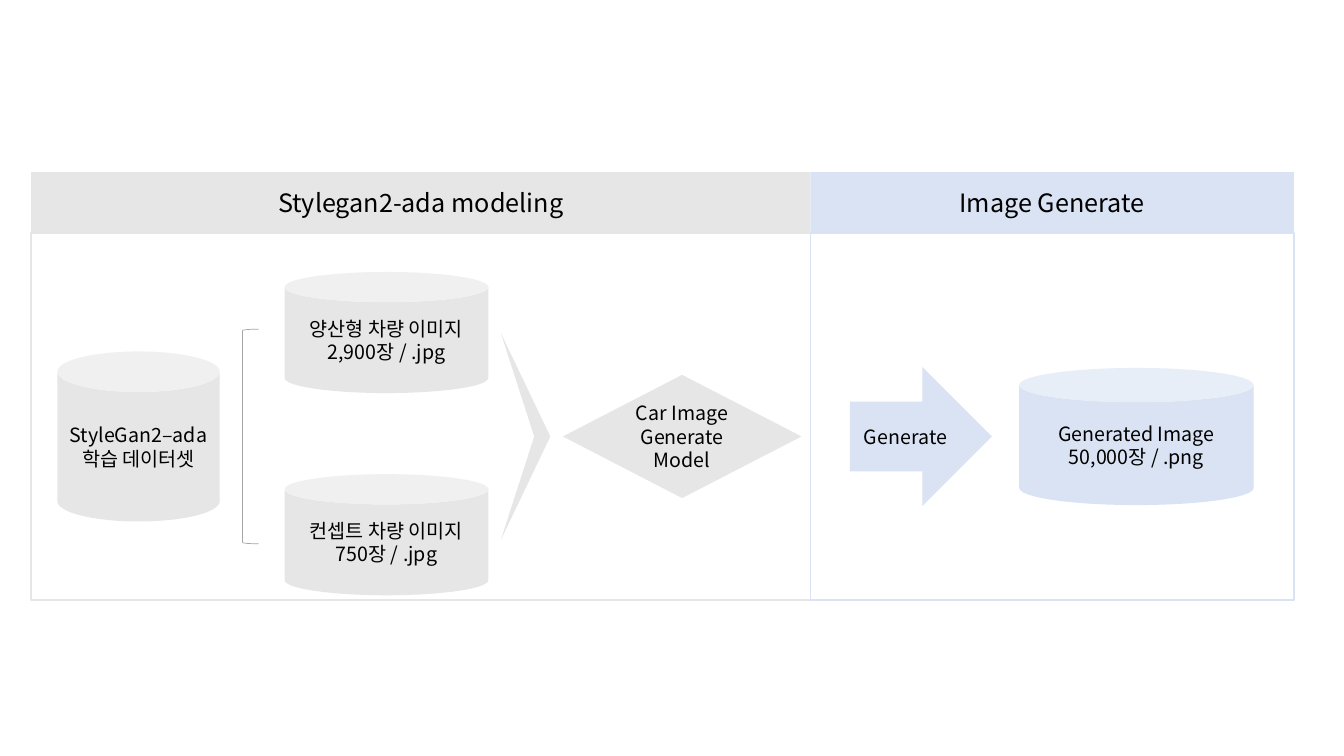
"""Build the StyleGAN2-ada modelling and image generation flow slide."""
from pptx import Presentation
from pptx.dml.color import RGBColor
from pptx.enum.shapes import MSO_SHAPE
from pptx.enum.text import MSO_ANCHOR, PP_ALIGN
from pptx.util import Pt

CAN, RECT = MSO_SHAPE.CAN, MSO_SHAPE.RECTANGLE
ARROW, DIAMOND = MSO_SHAPE.RIGHT_ARROW, MSO_SHAPE.FLOWCHART_DECISION
BRACKET = MSO_SHAPE.LEFT_BRACKET
CENTER, RIGHT, MIDDLE = PP_ALIGN.CENTER, PP_ALIGN.RIGHT, MSO_ANCHOR.MIDDLE
GRAY = RGBColor(0xE7, 0xE6, 0xE6)
BLUE = RGBColor(0xDA, 0xE3, 0xF3)
LINE = RGBColor(0xA6, 0xA6, 0xA6)
BLACK = RGBColor(0, 0, 0)
FONT = "Noto Sans CJK KR"

PANELS = [("Stylegan2-ada modeling", 556.5, GRAY), ("Image Generate", 345.5, BLUE)]
DATASETS = [["양산형 차량 이미지", "2,900장 / .jpg"], ["컨셉트 차량 이미지", "750장 / .jpg"]]
STEPS = [
    (CAN, 41, 116, 121.5, GRAY, ["StyleGan2–ada", "학습 데이터셋"], CENTER),
    (DIAMOND, 402, 170.5, 88, GRAY, ["Car Image", "Generate Model"], CENTER),
    (ARROW, 607, 101.5, 99.5, BLUE, ["Generate"], RIGHT),
    (CAN, 728, 167.5, 98, BLUE, ["Generated Image", "50,000장 / .png"], CENTER),
]
PANEL_LEFT, PANEL_TOP, HEAD_H, BODY_H = 22.3, 123, 43.5, 262
MID_Y = 311.8
DATA_X, DATA_Y, DATA_W, DATA_H, DATA_STEP = 203.3, 194.3, 145.5, 86.5, 144.4
BRACKET_X, BRACKET_W, BRACKET_H = 173.3, 11.5, 153.3
CHEVRON_X, CHEVRON_W, CHEVRON_NOTCH, CHEVRON_H = 357.8, 35.3, 23.8, 147.6


def paint(sp, fill=None, line=None, width=1):
    """Set fill and outline, with no shadow."""
    sp.shadow.inherit = False
    if fill is None:
        sp.fill.background()
    else:
        sp.fill.solid()
        sp.fill.fore_color.rgb = fill
    if line is None:
        sp.line.fill.background()
    else:
        sp.line.color.rgb = line
        sp.line.width = Pt(width)


def add_shape(kind, x, y, w, h, **style):
    """Add a painted preset shape, measured in points."""
    sp = slide.shapes.add_shape(kind, Pt(x), Pt(y), Pt(w), Pt(h))
    paint(sp, **style)
    return sp


def write(sp, lines, size=14, align=CENTER):
    """Write one paragraph per line."""
    tf = sp.text_frame
    tf.word_wrap = True
    tf.vertical_anchor = MIDDLE
    tf.text = "\n".join(lines)
    for p in tf.paragraphs:
        p.alignment = align
        for name, value in {"name": FONT, "size": Pt(size)}.items():
            setattr(p.font, name, value)
        for r in p.runs:
            for name, value in {"name": FONT, "size": Pt(size)}.items():
                setattr(r.font, name, value)
            r.font.color.rgb = BLACK


prs = Presentation()
prs.slide_width, prs.slide_height = Pt(960), Pt(540)
slide = prs.slides.add_slide(prs.slide_layouts[6])

x = PANEL_LEFT
for title, w, color in PANELS:
    add_shape(RECT, x, PANEL_TOP + HEAD_H, w, BODY_H, line=color)
    write(add_shape(RECT, x, PANEL_TOP, w, HEAD_H, fill=color), [title], 18)
    x += w

for kind, x, w, h, color, lines, align in STEPS:
    write(add_shape(kind, x, MID_Y - h / 2, w, h, fill=color), lines, align=align)
for i, lines in enumerate(DATASETS):
    y = DATA_Y + i * DATA_STEP
    write(add_shape(CAN, DATA_X, y, DATA_W, DATA_H, fill=GRAY), lines)

add_shape(BRACKET, BRACKET_X, MID_Y - BRACKET_H / 2, BRACKET_W, BRACKET_H, line=LINE, width=0.5)

top, bottom = MID_Y - CHEVRON_H / 2, MID_Y + CHEVRON_H / 2
points = [(CHEVRON_X + CHEVRON_W, MID_Y), (CHEVRON_X, bottom), (CHEVRON_X + CHEVRON_NOTCH, MID_Y)]
fb = slide.shapes.build_freeform(Pt(CHEVRON_X), Pt(top))
fb.add_line_segments([(Pt(px), Pt(py)) for px, py in points], close=True)
paint(fb.convert_to_shape(), fill=GRAY)

prs.save("out.pptx")
